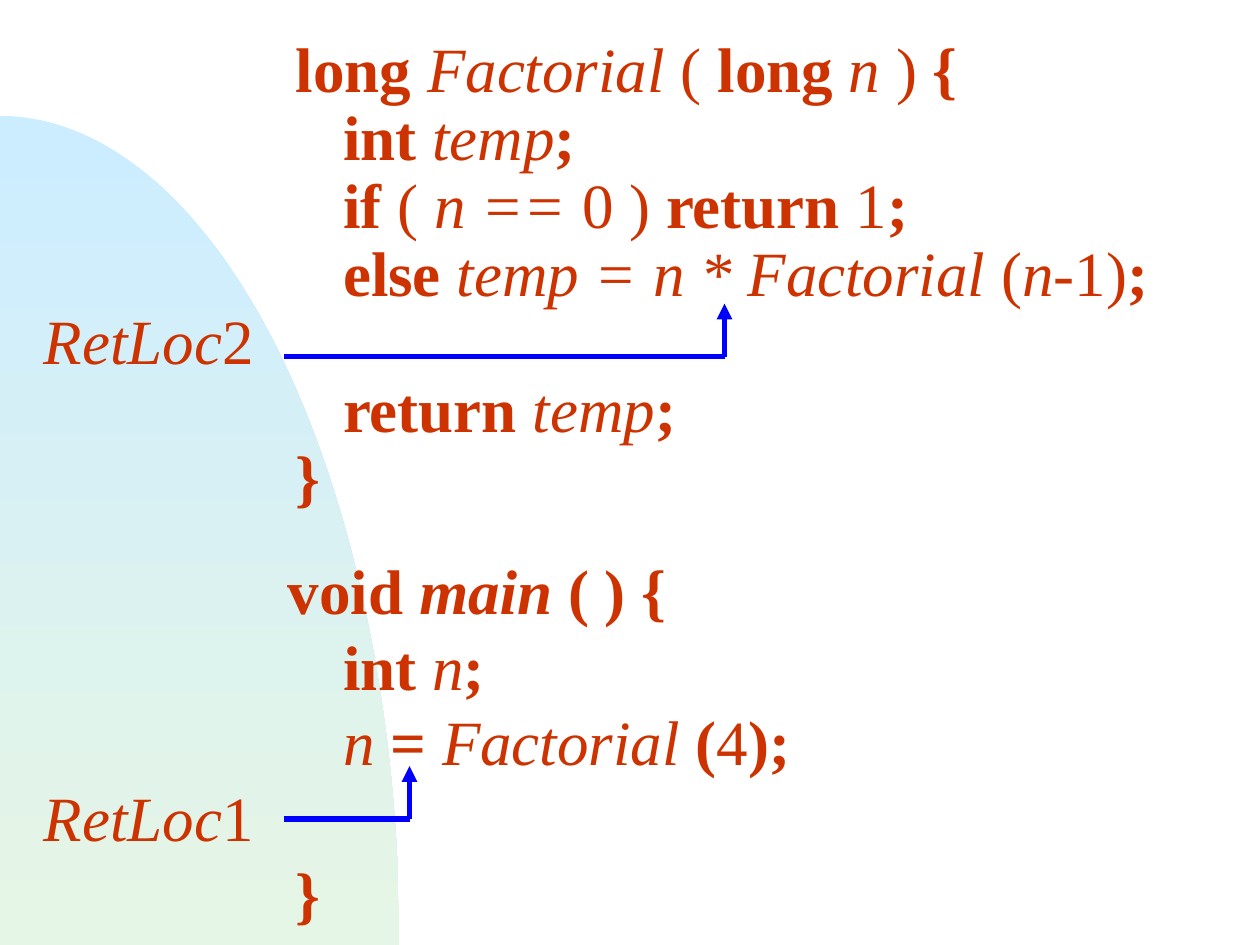
from math import cos, pi, sin
from pptx import Presentation
from pptx.dml.color import RGBColor
from pptx.enum.shapes import MSO_CONNECTOR
from pptx.oxml.ns import qn
from pptx.util import Inches, Pt
from lxml.etree import SubElement

COLORS = {"code": "CC3300", "arrow": "0000FF", "sky": "CCECFF", "mint": "E6F6E6"}
COLUMN = 1 / 8  # inches, the width of one space in the code
LABEL, OUTER, INNER = 2, 18, 21  # text columns

deck = Presentation()
deck.slide_width, deck.slide_height = Inches(10), Inches(7.5)
page = deck.slides.add_slide(deck.slide_layouts[6])

# Quarter ellipse in the lower left corner
WIDTH, TOP, BOTTOM, STEPS = 3.17, 0.92, 7.5, 60
arc = [(WIDTH * sin(step / STEPS * pi / 2),
        BOTTOM - (BOTTOM - TOP) * cos(step / STEPS * pi / 2))
       for step in range(STEPS + 1)]
builder = page.shapes.build_freeform(0, Inches(BOTTOM))
builder.add_line_segments([(Inches(x), Inches(y)) for x, y in arc], close=True)
dome = builder.convert_to_shape()
dome.shadow.inherit = False
dome.line.fill.background()
dome.fill.gradient()
dome.fill.gradient_angle = 270
for stop, name in zip(dome.fill.gradient_stops, ("sky", "mint")):
    stop.color.rgb = RGBColor.from_string(COLORS[name])

# Code: each line is a text column and runs of (style, text), b bold, i italic
factorial = [
    (OUTER, [("b", "long "), ("i", "Factorial "), ("", "( "), ("b", "long "),
             ("i", "n"), ("", " ) "), ("b", "{")]),
    (INNER, [("b", "int "), ("i", "temp"), ("b", ";")]),
    (INNER, [("b", "if"), ("", " ("), ("i", " n == "), ("", "0 ) "),
             ("b", "return"), ("", " 1"), ("b", ";")]),
    (INNER, [("b", "else "), ("i", "temp = n * Factorial"), ("", " ("),
             ("i", "n-"), ("", "1)"), ("b", ";")]),
    (LABEL, [("i", "RetLoc"), ("", "2")]),
    (INNER, [("b", "return "), ("i", "temp"), ("b", ";")]),
    (OUTER, [("b", "}")]),
]
main_code = [
    (OUTER - 0.5, [("b", "void "), ("bi", "main"), ("b", " ( ) {")]),
    (INNER, [("b", "int "), ("i", "n"), ("b", ";")]),
    (INNER, [("i", "n"), ("b", " = "), ("i", "Factorial"), ("b", " ("),
             ("", "4"), ("b", ");")]),
    (LABEL, [("i", "RetLoc"), ("", "1")]),
    (OUTER, [("b", "}")]),
]
for top, height, spacing, lines in ((0.25, 3.88, 0.9, factorial),
                                    (4.33, 3.1, 1.0, main_code)):
    box = page.shapes.add_textbox(0, Inches(top), deck.slide_width, Inches(height))
    frame = box.text_frame
    frame.word_wrap = True
    for index, (column, runs) in enumerate(lines):
        para = frame.paragraphs[0] if index == 0 else frame.add_paragraph()
        para.line_spacing = spacing
        para._p.get_or_add_pPr().set("marL", str(Inches(column * COLUMN)))
        para.font.name = "Times New Roman"
        para.font.size = Pt(36)
        para.font.color.rgb = RGBColor.from_string(COLORS["code"])
        for style, text in runs:
            span = para.add_run()
            span.text = text
            span.font.bold = "b" in style
            span.font.italic = "i" in style

# Return arrows: along from the label, then up to the call
START, RISE = 2.25, 0.42
for x, y in ((5.75, 2.83), (3.25, 6.5)):
    for begin, end, pointed in (((START, y), (x, y), False),
                                ((x, y), (x, y - RISE), True)):
        arrow = page.shapes.add_connector(
            MSO_CONNECTOR.STRAIGHT, *[Inches(value) for value in begin + end])
        arrow.line.color.rgb = RGBColor.from_string(COLORS["arrow"])
        arrow.line.width = Pt(3)
        if pointed:
            SubElement(arrow.line._get_or_add_ln(), qn("a:tailEnd"), type="triangle")
        SubElement(arrow._element.spPr, qn("a:effectLst"))

deck.save("out.pptx")
